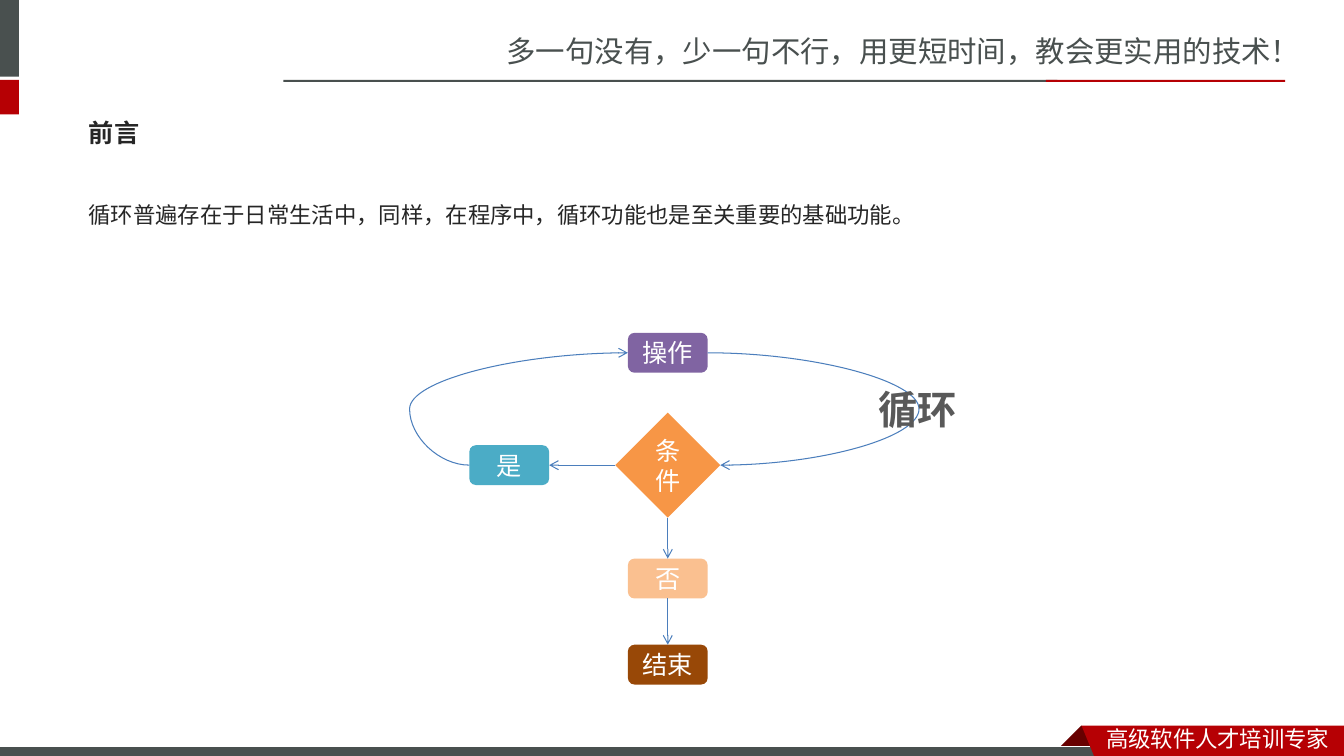
from dataclasses import dataclass

from lxml import etree
from pptx import Presentation
from pptx.dml.color import RGBColor
from pptx.enum.shapes import MSO_CONNECTOR, MSO_SHAPE
from pptx.enum.text import MSO_ANCHOR, MSO_AUTO_SIZE, PP_ALIGN
from pptx.oxml.ns import qn
from pptx.util import Pt

PX = 9525
TITLE_ONLY = 5
TOP, LEFT, BOTTOM, RIGHT = range(4)
RECTANGLE = MSO_SHAPE.RECTANGLE
ROUNDED = MSO_SHAPE.ROUNDED_RECTANGLE
DIAMOND = MSO_SHAPE.DIAMOND
STRAIGHT = MSO_CONNECTOR.STRAIGHT
CURVE = MSO_CONNECTOR.CURVE
ALIGN_LEFT = PP_ALIGN.LEFT
ALIGN_CENTER = PP_ALIGN.CENTER
ANCHOR_TOP = MSO_ANCHOR.TOP
ANCHOR_MIDDLE = MSO_ANCHOR.MIDDLE
NO_AUTOFIT = MSO_AUTO_SIZE.NONE


@dataclass(frozen=True)
class Theme:
    slate: str = "49504F"
    red: str = "B60004"
    dark_red: str = "680000"
    white: str = "FFFFFF"
    ink: str = "262626"
    gray: str = "595959"
    link: str = "4B7EBC"
    purple: str = "8064A2"
    orange: str = "F79646"
    teal: str = "4BACC6"
    peach: str = "FAC090"
    brown: str = "984807"
    slogan_size: int = 21
    heading_size: int = 18
    body_size: int = 16
    node_size: int = 18
    label_size: int = 28
    thin: float = 0.75
    sans: str = "Noto Sans CJK SC"
    text: str = "Noto Sans CJK JP"
    node: str = "Calibri"


@dataclass(frozen=True)
class Box:
    left: int
    top: int
    width: int
    height: int

    def inner(self, left, top, width, height):
        return Box(self.left + left, self.top + top, width, height)

    def emu(self):
        return [value * PX for value in (self.left, self.top, self.width, self.height)]


THEME = Theme()


def color(value):
    return RGBColor.from_string(value)


def write(shape, text, *, size, font, fill, bold=False, align=ALIGN_LEFT,
          anchor=ANCHOR_TOP, spacing=1.0):
    frame = shape.text_frame
    frame.auto_size = NO_AUTOFIT
    frame.word_wrap = True
    frame.vertical_anchor = anchor
    para = frame.paragraphs[0]
    para.alignment = align
    para.line_spacing = spacing
    para.space_before = Pt(0)
    span = para.add_run()
    span.text = text
    span.font.size = Pt(size)
    span.font.bold = bold
    span.font.name = font
    span.font.color.rgb = color(fill)
    east_asian = etree.SubElement(span.font._element, qn("a:ea"))
    east_asian.set("typeface", font)


def add_text(page, box, text, **style):
    write(page.shapes.add_textbox(*box.emu()), text, **style)


def paint(shape, fill, line=None):
    shape.shadow.inherit = False
    shape.fill.solid()
    shape.fill.fore_color.rgb = color(fill)
    if line:
        shape.line.color.rgb = color(line)
        shape.line.width = Pt(THEME.thin)
    else:
        shape.line.fill.background()
    return shape


def add_block(page, box, fill, kind=RECTANGLE, line=None):
    return paint(page.shapes.add_shape(kind, *box.emu()), fill, line)


def add_outline(page, box, points, fill):
    corners = [(box.left + x, box.top + y) for x, y in points]
    builder = page.shapes.build_freeform(*corners[0], scale=PX)
    builder.add_line_segments(corners[1:], close=True)
    paint(builder.convert_to_shape(), fill)


def draw_header(page, box):
    add_text(page, box.inner(473, 27, 807, 43), "多一句没有，少一句不行，用更短时间，教会更实用的技术！",
             size=THEME.slogan_size, font=THEME.sans, fill=THEME.slate)
    add_block(page, box.inner(0, 0, 18, 73), THEME.slate)
    add_block(page, box.inner(0, 76, 18, 33), THEME.red)
    add_block(page, box.inner(270, 76, 737, 2), THEME.slate)
    add_block(page, box.inner(996, 76, 228, 2), THEME.red)


def draw_footer(page, box):
    add_outline(page, box, [(1030, 5), (1051, 26), (1050, 27), (1010, 27), (1009, 26)],
                THEME.dark_red)
    add_block(page, box.inner(0, 25, 1056, 11), THEME.slate, line=THEME.white)
    add_outline(page, box, [(1030, 5), (1280, 5), (1280, 34), (1042, 34)], THEME.red)
    add_text(page, box.inner(1044, 0, 236, 34), "高级软件人才培训专家",
             size=THEME.body_size, font=THEME.sans, fill=THEME.white)


def draw_intro(page, box):
    title = page.shapes.title
    title.left, title.top, title.width, title.height = box.inner(0, 0, box.width, 55).emu()
    write(title, "前言", size=THEME.heading_size, font=THEME.text, fill=THEME.ink,
          bold=True, anchor=ANCHOR_MIDDLE)
    add_text(page, box.inner(0, 75, box.width, 60),
             "循环普遍存在于日常生活中，同样，在程序中，循环功能也是至关重要的基础功能。",
             size=THEME.body_size, font=THEME.text, fill=THEME.ink, spacing=1.5)


def add_node(page, box, center, text, fill, kind=ROUNDED, size=(76, 38)):
    x, y = center
    width, height = size
    node = add_block(page, box.inner(x - width // 2, y - height // 2, width, height), fill, kind)
    write(node, text, size=THEME.node_size, font=THEME.node, fill=THEME.white,
          align=ALIGN_CENTER, anchor=ANCHOR_MIDDLE)
    return node


def add_arrow(page, source, source_site, target, target_site, bend=None):
    kind = STRAIGHT if bend is None else CURVE
    arrow = page.shapes.add_connector(kind, 0, 0, 0, 0)
    arrow.begin_connect(source, source_site)
    arrow.end_connect(target, target_site)
    arrow.line.color.rgb = color(THEME.link)
    arrow.line.width = Pt(THEME.thin)
    properties = arrow.element.spPr
    etree.SubElement(properties.find(qn("a:ln")), qn("a:tailEnd")).set("type", "arrow")
    etree.SubElement(properties, qn("a:effectLst"))
    if bend is not None:
        ratio = (bend * PX - arrow.begin_x) / (arrow.end_x - arrow.begin_x)
        guides = properties.find(qn("a:prstGeom")).get_or_add_avLst()
        guide = etree.SubElement(guides, qn("a:gd"))
        guide.set("name", "adj1")
        guide.set("fmla", f"val {round(ratio * 100000)}")


def draw_loop(page, box):
    middle = 246
    action = add_node(page, box, (middle, 19), "操作", THEME.purple)
    condition = add_node(page, box, (middle, 126), "条件", THEME.orange, DIAMOND, (100, 100))
    yes = add_node(page, box, (95, 126), "是", THEME.teal)
    no = add_node(page, box, (middle, 234), "否", THEME.peach)
    finish = add_node(page, box, (middle, 316), "结束", THEME.brown)
    add_arrow(page, condition, LEFT, yes, RIGHT)
    add_arrow(page, yes, LEFT, action, LEFT, bend=box.left)
    add_arrow(page, action, RIGHT, condition, RIGHT, bend=box.left + 485)
    add_arrow(page, condition, BOTTOM, no, TOP)
    add_arrow(page, no, BOTTOM, finish, TOP)
    add_text(page, box.inner(436, 45, 96, 55), "循环", size=THEME.label_size,
             font=THEME.sans, fill=THEME.gray, bold=True, align=ALIGN_CENTER)


def main():
    deck = Presentation()
    deck.slide_width, deck.slide_height = 1280 * PX, 720 * PX
    page = deck.slides.add_slide(deck.slide_layouts[TITLE_ONLY])
    draw_header(page, Box(0, 0, 1280, 109))
    draw_footer(page, Box(0, 686, 1280, 34))
    draw_intro(page, Box(75, 99, 1123, 135))
    draw_loop(page, Box(390, 317, 532, 335))
    deck.save("out.pptx")


if __name__ == "__main__":
    main()
